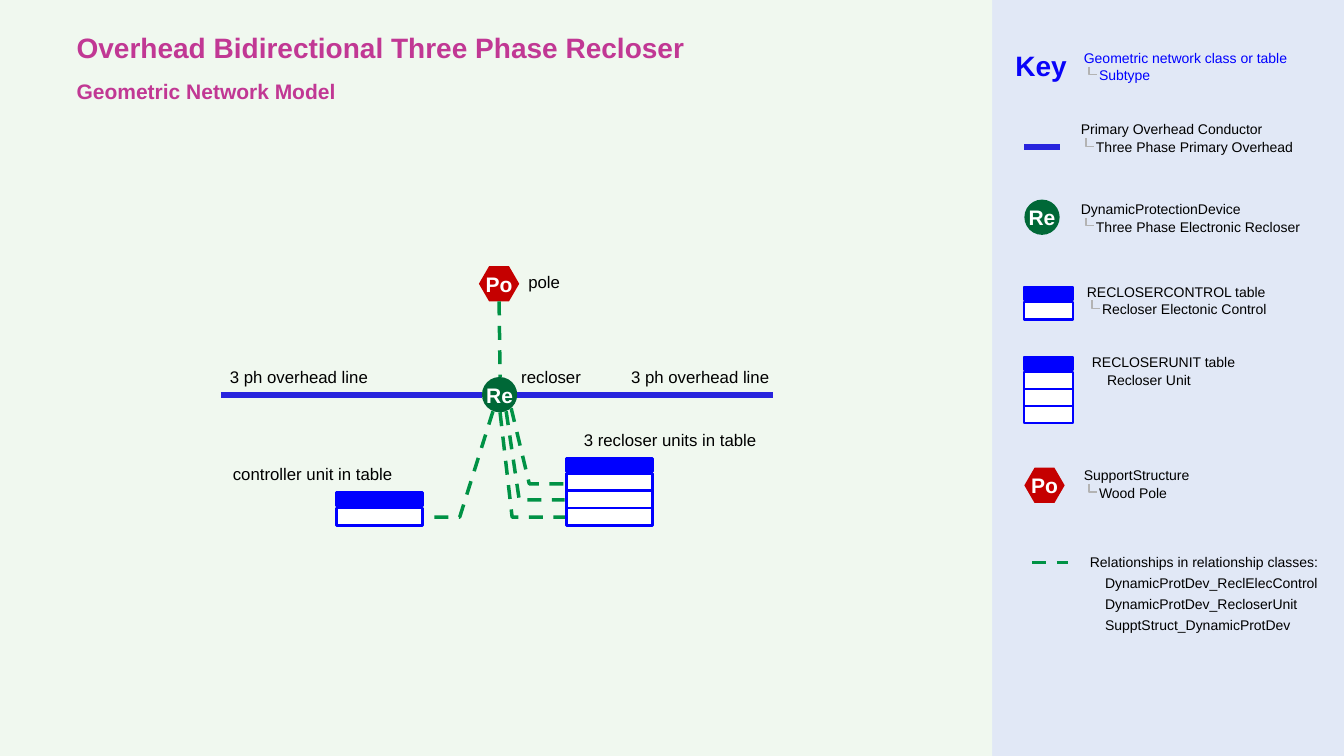
from pptx import Presentation
from pptx.dml.color import RGBColor
from pptx.enum.dml import MSO_LINE
from pptx.enum.shapes import MSO_CONNECTOR, MSO_SHAPE
from pptx.enum.text import MSO_ANCHOR, PP_ALIGN
from pptx.oxml.ns import qn
from pptx.util import Inches, Pt

WIDTH, HEIGHT = 13.33, 7.5
KEY_LEFT = 9.84
ICON_LEFT = 10.16
SYMBOL_HEIGHT = 0.35
HEADER_HEIGHT, ROW_TOP, ROW_HEIGHT = 0.13, 0.15, 0.17
INDENT, ELBOW_INSET, ELBOW_SIZE = 0.15, 0.05, 0.08
COLORS = {
    "map": "F0F8EF", "key": "E1E8F6", "title": "C13894", "key title": "0903F9",
    "blue": "0000FF", "black": "000000", "white": "FFFFFF", "grey": "B3B3B3",
    "conductor": "2824DD", "relation": "009245", "pole": "C50000", "recloser": "006837",
}

# text, left, top, width, points, colour, bold
LABELS = [
    ("Overhead Bidirectional Three Phase Recloser", 0.76, 0.3, 6.5, 20, "title", True),
    ("Geometric Network Model", 0.76, 0.78, 3, 15, "title", True),
    ("Key", 10.07, 0.48, 0.64, 20, "key title", True),
    ("pole", 5.24, 2.7, 0.5, 12, "black", False),
    ("3 ph overhead line", 2.28, 3.64, 1.6, 12, "black", False),
    ("recloser", 5.17, 3.64, 0.8, 12, "black", False),
    ("3 ph overhead line", 6.26, 3.64, 1.6, 12, "black", False),
    ("controller unit in table", 2.31, 4.6, 1.8, 12, "black", False),
    ("3 recloser units in table", 5.79, 4.26, 1.95, 12, "black", False),
]
# left, top, class, subtypes, colour, elbow, points between lines
KEY_ENTRIES = [
    (10.75, 0.49, "Geometric network class or table", ["Subtype"], "blue", True, 0.5),
    (10.72, 1.2, "Primary Overhead Conductor", ["Three Phase Primary Overhead"], "black", True, 0.5),
    (10.72, 1.99, "DynamicProtectionDevice", ["Three Phase Electronic Recloser"], "black", True, 0.5),
    (10.78, 2.81, "RECLOSERCONTROL table", ["Recloser Electonic Control"], "black", True, 0.5),
    (10.83, 3.51, "RECLOSERUNIT table", ["Recloser Unit"], "black", False, 0.5),
    (10.75, 4.63, "SupportStructure", ["Wood Pole"], "black", True, 0.5),
    (10.81, 5.49, "Relationships in relationship classes:",
     ["DynamicProtDev_ReclElecControl", "DynamicProtDev_RecloserUnit",
      "SupptStruct_DynamicProtDev"], "black", False, 2.9),
]
# kind, left, top
SYMBOLS = [("pole", ICON_LEFT, 4.64), ("pole", 4.75, 2.64),
           ("recloser", ICON_LEFT, 1.98), ("recloser", 4.78, 3.74)]
SYMBOL_STYLES = {"pole": ("Po", MSO_SHAPE.HEXAGON, 0.4), "recloser": ("Re", MSO_SHAPE.OVAL, 0.35)}
# left, top, width, rows, line points
TABLE_ICONS = [(ICON_LEFT, 2.85, 0.48, 1, 1.5), (ICON_LEFT, 3.54, 0.48, 3, 1.5),
               (3.34, 4.89, 0.85, 1, 2), (5.62, 4.55, 0.85, 3, 2)]
CONDUCTORS = [((ICON_LEFT, 1.46), (10.51, 1.46)), ((2.19, 3.92), (4.78, 3.92)),
              ((5.13, 3.92), (7.67, 3.92))]
STRAIGHT_RELATIONS = [((10.24, 5.58), (10.59, 5.58)), ((4.95, 2.99), (4.96, 3.74))]
BENT_RELATIONS = [
    [(4.89, 4.08), (4.56, 5.13), (4.21, 5.13)],
    [(5.02, 4.08), (5.15, 4.96), (5.6, 4.96)],
    [(5.07, 4.05), (5.25, 4.8), (5.6, 4.8)],
    [(4.96, 4.09), (5.08, 5.13), (5.62, 5.13)],
]

deck = Presentation()
deck.slide_width, deck.slide_height = Inches(WIDTH), Inches(HEIGHT)
page = deck.slides.add_slide(deck.slide_layouts[6])


def color(name):
    """Return the named colour."""
    return RGBColor.from_string(COLORS[name])


def set_line(line, name, points, dashed=False):
    """Style a line or an outline."""
    line.color.rgb = color(name)
    line.width = Pt(points)
    if dashed:
        line.dash_style = MSO_LINE.DASH


def add_figure(kind, left, top, width, height, fill, outline=0):
    """Add a filled preset shape, with a blue outline if one is asked for."""
    figure = page.shapes.add_shape(kind, *map(Inches, (left, top, width, height)))
    figure.shadow.inherit = False
    figure.fill.solid()
    figure.fill.fore_color.rgb = color(fill)
    if outline:
        set_line(figure.line, "blue", outline)
    else:
        figure.line.fill.background()
    return figure


def clear_margins(frame):
    """Remove the inner margins of a text frame."""
    frame.margin_left = frame.margin_right = frame.margin_top = frame.margin_bottom = 0


def add_span(para, text, points, name, bold=False):
    """Add one styled run to a paragraph."""
    span = para.add_run()
    span.text = text
    span.font.name, span.font.size, span.font.bold = "Arial", Pt(points), bold
    span.font.color.rgb = color(name)


def add_text(lines, left, top, width, points, name, bold=False, gap=0):
    """Add a text box whose lines after the first are indented."""
    height = len(lines) * (points * 1.15 + gap) / 72
    box = page.shapes.add_textbox(*map(Inches, (left, top, width, height)))
    frame = box.text_frame
    frame.word_wrap = True
    clear_margins(frame)
    for number, line in enumerate(lines):
        para = frame.add_paragraph() if number else frame.paragraphs[0]
        if number:
            para.space_before = Pt(gap)
            para._p.get_or_add_pPr().set("marL", str(Inches(INDENT)))
        add_span(para, line, points, name, bold)


def add_straight(start, end, name, points, dashed=False):
    """Add a straight line."""
    line = page.shapes.add_connector(MSO_CONNECTOR.STRAIGHT, *map(Inches, start + end))
    set_line(line.line, name, points, dashed)
    properties = line._element.spPr
    properties.append(properties.makeelement(qn("a:effectLst"), {}))


def add_bent(points, name, weight, dashed=False):
    """Add an open line through several points."""
    start, *rest = [(Inches(x), Inches(y)) for x, y in points]
    builder = page.shapes.build_freeform(*start)
    builder.add_line_segments(rest, close=False)
    bent = builder.convert_to_shape()
    bent.shadow.inherit = False
    bent.fill.background()
    set_line(bent.line, name, weight, dashed)


def add_symbol(kind, left, top):
    """Add a pole or recloser symbol with its two letters."""
    letters, outline, width = SYMBOL_STYLES[kind]
    symbol = add_figure(outline, left, top, width, SYMBOL_HEIGHT, kind)
    if kind == "pole":
        symbol.adjustments[0] = 0.29
    frame = symbol.text_frame
    frame.word_wrap = False
    frame.vertical_anchor = MSO_ANCHOR.MIDDLE
    clear_margins(frame)
    frame.paragraphs[0].alignment = PP_ALIGN.CENTER
    add_span(frame.paragraphs[0], letters, 15, "white", True)


def add_table_icon(left, top, width, rows, outline):
    """Add a table symbol: a blue header above white rows."""
    add_figure(MSO_SHAPE.RECTANGLE, left, top, width, HEADER_HEIGHT, "blue", outline)
    for row in range(rows):
        add_figure(MSO_SHAPE.RECTANGLE, left, top + ROW_TOP + row * ROW_HEIGHT,
                   width, ROW_HEIGHT, "white", outline)


add_figure(MSO_SHAPE.RECTANGLE, KEY_LEFT, 0, WIDTH - KEY_LEFT, HEIGHT, "key")
add_figure(MSO_SHAPE.RECTANGLE, 0, 0, KEY_LEFT, HEIGHT, "map")
for start, end in CONDUCTORS:
    add_straight(start, end, "conductor", 4)
for symbol in SYMBOLS:
    add_symbol(*symbol)
for start, end in STRAIGHT_RELATIONS:
    add_straight(start, end, "relation", 2.5, True)
for points in BENT_RELATIONS:
    add_bent(points, "relation", 2.5, True)
for icon in TABLE_ICONS:
    add_table_icon(*icon)
for text, *place in LABELS:
    add_text([text], *place)
for left, top, title, subtypes, name, has_elbow, gap in KEY_ENTRIES:
    add_text([title] + subtypes, left, top, WIDTH - left, 10, name, gap=gap)
    if has_elbow:
        x, y = left + ELBOW_INSET, top + ROW_HEIGHT
        add_bent([(x, y), (x, y + ELBOW_SIZE), (x + ELBOW_SIZE, y + ELBOW_SIZE)], "grey", 0.88)

deck.save("out.pptx")
